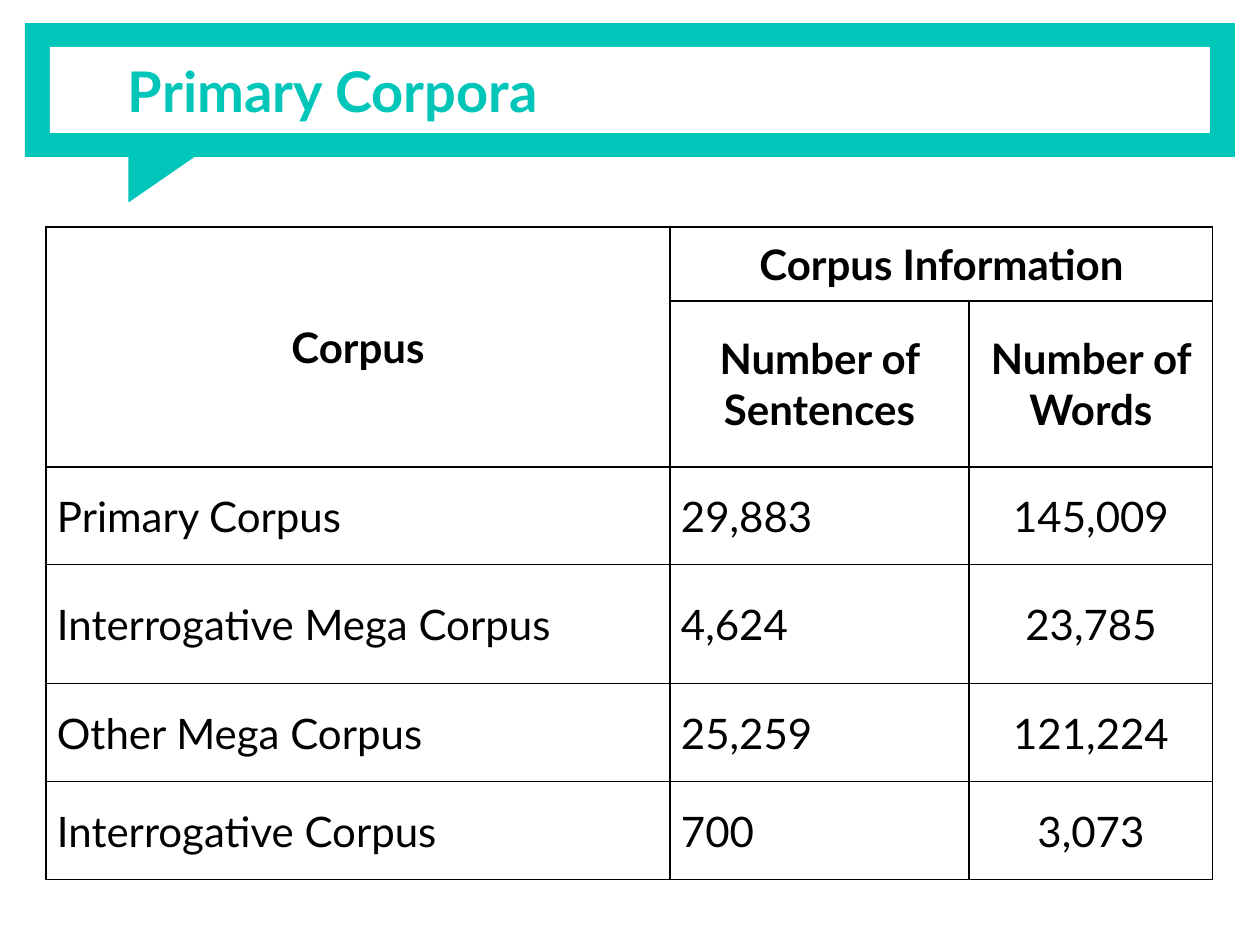
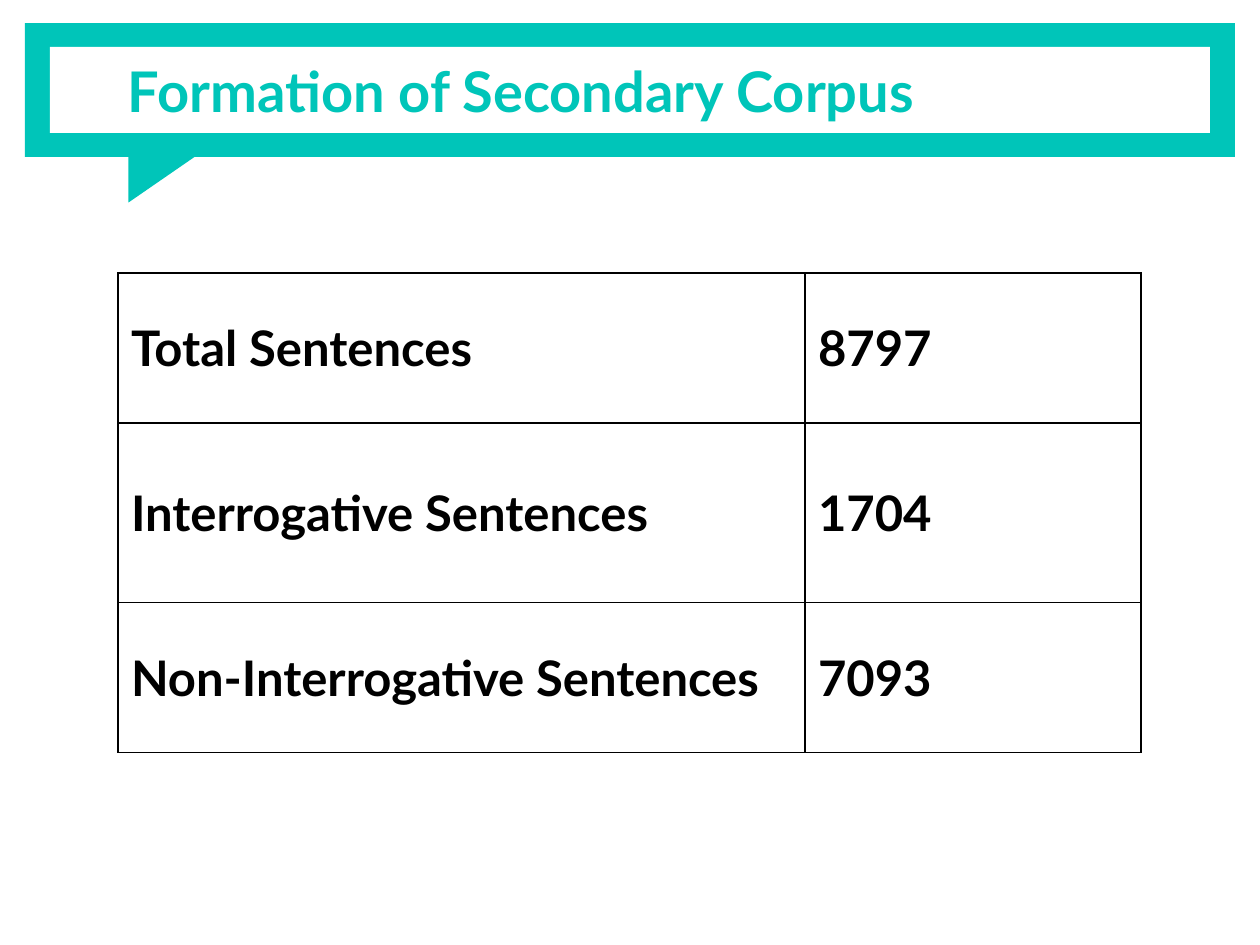
"""Build two slides that show corpus sizes as tables under a shared title banner."""
from dataclasses import dataclass

from lxml import etree
from pptx import Presentation
from pptx.dml.color import RGBColor
from pptx.enum.shapes import MSO_SHAPE
from pptx.enum.text import MSO_ANCHOR, MSO_AUTO_SIZE, PP_ALIGN
from pptx.oxml.ns import qn
from pptx.util import Emu, Pt

RECTANGLE, TRIANGLE = MSO_SHAPE.RECTANGLE, MSO_SHAPE.RIGHT_TRIANGLE
MIDDLE, NO_FIT = MSO_ANCHOR.MIDDLE, MSO_AUTO_SIZE.NONE
LEFT, CENTER, JUSTIFY = PP_ALIGN.LEFT, PP_ALIGN.CENTER, PP_ALIGN.JUSTIFY
TITLE_ONLY = 5
EMU_PER_PIXEL = 914400 / 126


@dataclass(frozen=True)
class Theme:
    font: str = "Lato"
    teal: RGBColor = RGBColor(0x00, 0xC5, 0xB9)
    white: RGBColor = RGBColor(0xFF, 0xFF, 0xFF)
    black: RGBColor = RGBColor(0x00, 0x00, 0x00)
    title_size: int = 32
    border: float = 0.75


THEME = Theme()

BANNER = [
    (RECTANGLE, (25, 23, 1210, 134), 0, THEME.teal),
    (TRIANGLE, (142, 129, 60, 87), 90, THEME.teal),
    (RECTANGLE, (50, 47, 1160, 86), 0, THEME.white),
]
TITLE_BOX = (115, 23, 1096, 134)
TITLE_INSET = 13

SLIDES = [
    {
        "title": "Primary Corpora",
        "origin": (46, 227),
        "columns": [624, 299, 244],
        "rows": [74, 166, 98, 119, 98, 98],
        "size": 24,
        "inset": 11,
        "bold_rows": 2,
        "header_rows": 2,
        "centered_columns": {2},
        "merges": [((0, 0), (1, 0)), ((0, 1), (0, 2))],
        "cells": [
            ("Corpus", "Corpus Information", ""),
            ("", "Number of Sentences", "Number of Words"),
            ("Primary Corpus", "29,883", "145,009"),
            ("Interrogative Mega Corpus", "4,624", "23,785"),
            ("Other Mega Corpus", "25,259", "121,224"),
            ("Interrogative Corpus", "700", "3,073"),
        ],
    },
    {
        "title": "Formation of Secondary Corpus",
        "origin": (118, 273),
        "columns": [687, 336],
        "rows": [150, 180, 150],
        "size": 28,
        "inset": 13,
        "bold_rows": 3,
        "header_rows": 0,
        "centered_columns": set(),
        "merges": [],
        "cells": [
            ("Total Sentences", "8797"),
            ("Interrogative Sentences", "1704"),
            ("Non-Interrogative Sentences", "7093"),
        ],
    },
]


def px(pixels):
    """Turn pixels into EMU."""
    return Emu(round(pixels * EMU_PER_PIXEL))


def style_text(frame, size, color, bold, alignment):
    """Format every run of a text frame."""
    for para in frame.paragraphs:
        para.alignment = alignment
        for span in para.runs:
            span.font.name = THEME.font
            span.font.size = Pt(size)
            span.font.bold = bold
            span.font.color.rgb = color


def add_banner(layout, slide):
    """Draw the banner and hand its shapes over to the shared layout."""
    for kind, place, rotation, color in BANNER:
        shape = slide.shapes.add_shape(kind, *map(px, place))
        shape.rotation = rotation
        shape.shadow.inherit = False
        shape.fill.solid()
        shape.fill.fore_color.rgb = color
        shape.line.fill.background()
        layout.shapes.element.append(shape.element)


def set_title(slide, text):
    """Place and format the title placeholder."""
    title = slide.shapes.title
    title.left, title.top, title.width, title.height = map(px, TITLE_BOX)
    frame = title.text_frame
    frame.text = text
    frame.word_wrap = True
    frame.auto_size = NO_FIT
    frame.vertical_anchor = MIDDLE
    frame.margin_left = frame.margin_right = px(TITLE_INSET)
    frame.margin_top = frame.margin_bottom = px(TITLE_INSET)
    style_text(frame, THEME.title_size, THEME.teal, True, LEFT)


def set_borders(cell):
    """Rule all four sides of a cell and leave it unfilled."""
    properties = cell._tc.get_or_add_tcPr()
    for side in ("a:lnL", "a:lnR", "a:lnT", "a:lnB"):
        line = etree.SubElement(properties, qn(side), w=str(Pt(THEME.border)))
        fill = etree.SubElement(line, qn("a:solidFill"))
        etree.SubElement(fill, qn("a:srgbClr"), val=str(THEME.black))
    cell.fill.background()


def add_table(slide, content):
    """Build one ruled table."""
    columns, rows = content["columns"], content["rows"]
    place = (*content["origin"], sum(columns), sum(rows))
    table = slide.shapes.add_table(len(rows), len(columns), *map(px, place)).table
    table.first_row = table.horz_banding = False
    for column, width in zip(table.columns, columns):
        column.width = px(width)
    for row, height in zip(table.rows, rows):
        row.height = px(height)
    for row, texts in enumerate(content["cells"]):
        for column, text in enumerate(texts):
            cell = table.cell(row, column)
            cell.text = text
            cell.vertical_anchor = MIDDLE
            cell.margin_left = cell.margin_right = px(content["inset"])
            cell.margin_top = cell.margin_bottom = 0
            centered = row < content["header_rows"] or column in content["centered_columns"]
            style_text(cell.text_frame, content["size"], THEME.black,
                       row < content["bold_rows"], CENTER if centered else JUSTIFY)
            set_borders(cell)
    for first, last in content["merges"]:
        table.cell(*first).merge(table.cell(*last))


deck = Presentation()
deck.slide_width, deck.slide_height = px(1260), px(945)
title_layout = deck.slide_layouts[TITLE_ONLY]
for number, content in enumerate(SLIDES):
    page = deck.slides.add_slide(title_layout)
    if number == 0:
        add_banner(title_layout, page)
    set_title(page, content["title"])
    add_table(page, content)
deck.save("out.pptx")
